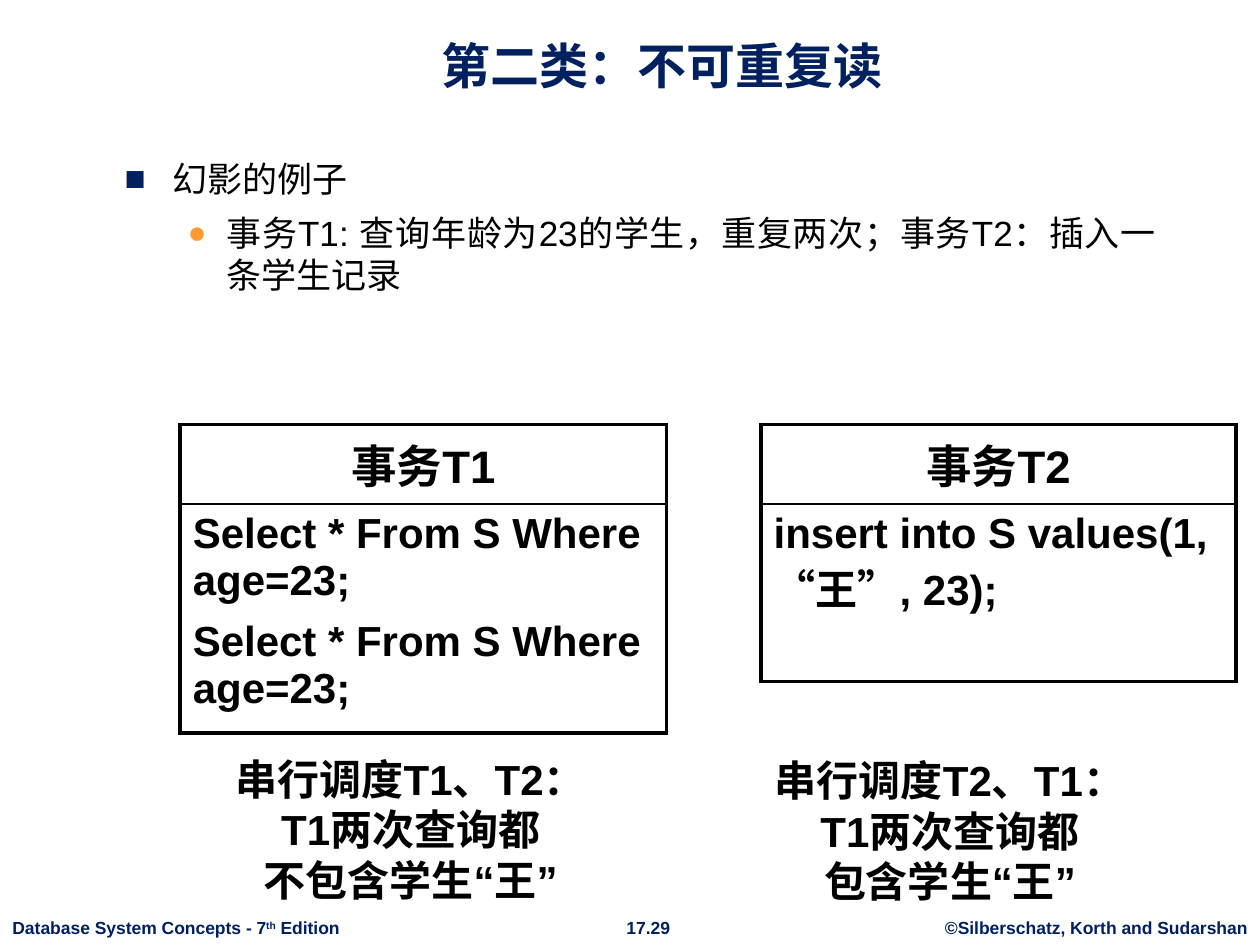
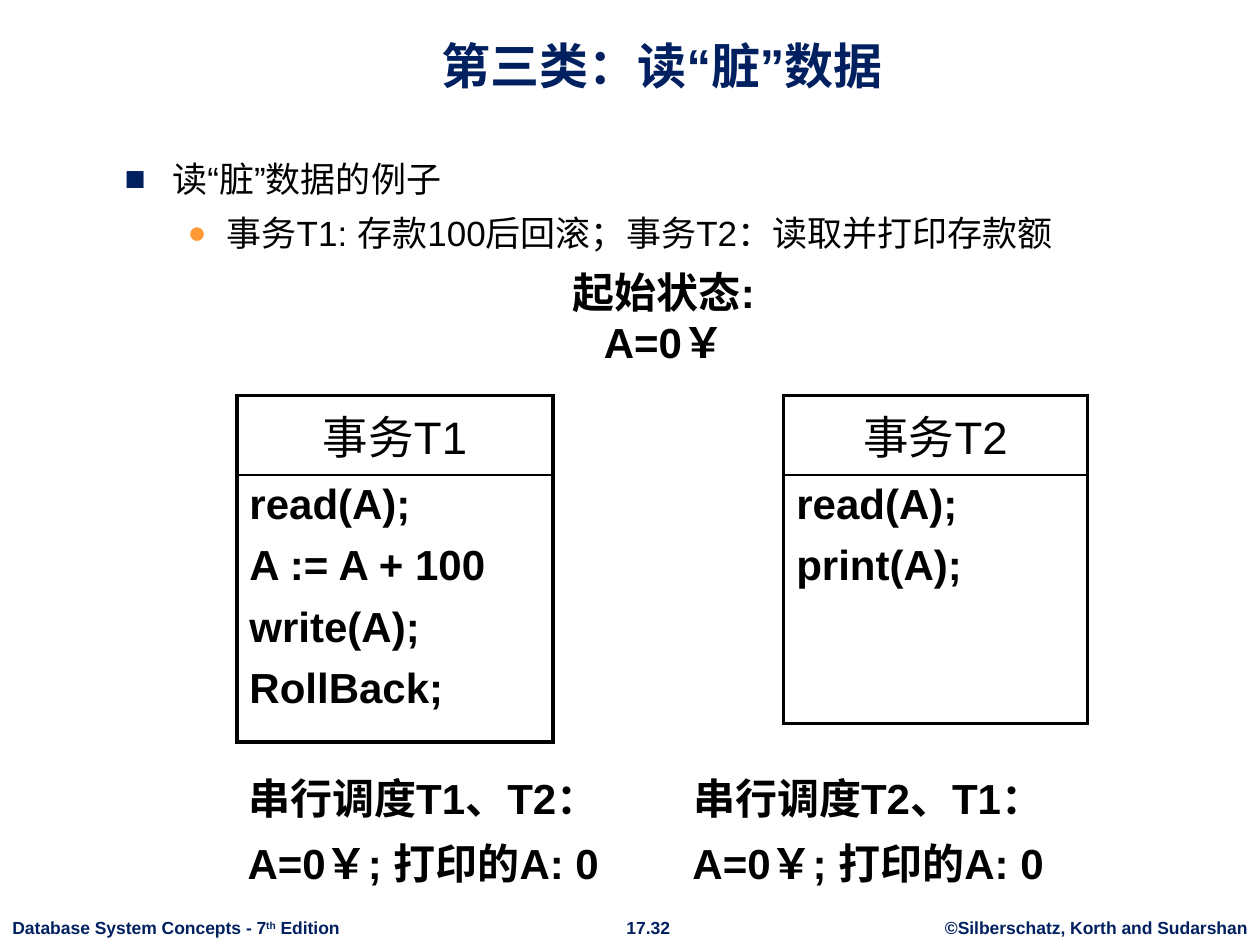
from dataclasses import dataclass

from lxml import etree
from pptx import Presentation
from pptx.dml.color import RGBColor
from pptx.enum.shapes import MSO_SHAPE
from pptx.enum.text import MSO_ANCHOR, PP_ALIGN
from pptx.oxml.ns import qn
from pptx.util import Inches, Pt

LEFT, CENTER, JUSTIFY = PP_ALIGN.LEFT, PP_ALIGN.CENTER, PP_ALIGN.JUSTIFY
TOP, MIDDLE, BOTTOM = MSO_ANCHOR.TOP, MSO_ANCHOR.MIDDLE, MSO_ANCHOR.BOTTOM
CALLOUT = MSO_SHAPE.ROUNDED_RECTANGULAR_CALLOUT
TITLE_ONLY = 5


@dataclass(frozen=True)
class Theme:
    font: str = "Arial"
    navy: str = "002060"
    orange: str = "FF9933"
    black: str = "000000"
    white: str = "FFFFFF"
    title: int = 28
    heading: int = 26
    code: int = 24
    body: int = 20
    footer: int = 10
    outer_line: float = 2.25
    inner_line: float = 1
    paragraph_gap: float = 0.35  # share of the type size


THEME = Theme()

SLIDES = [
    {
        "title": "第二类：不可重复读",
        "number": "17.29",
        "bullets": ["幻影的例子",
                    "事务T1: 查询年龄为23的学生，重复两次；事务T2：插入一条学生记录"],
        "bold_headings": True,
        "transactions": [
            {"heading": "事务T2", "code": ["insert into S values(1, “王”, 23);"],
             "left": 6.04, "top": 3.37, "width": 3.77, "code_height": 1.41},
            {"heading": "事务T1", "code": ["Select * From S Where age=23;"] * 2,
             "left": 1.43, "top": 3.37, "width": 3.86, "code_height": 1.77},
        ],
        "callouts": [
            {"lines": ["串行调度T1、T2：\vT1两次查询都\v不包含学生“王”"],
             "box": (1.76, 5.89, 3, 1.38), "tip": (0.03, 0.14)},
            {"lines": ["串行调度T2、T1：\vT1两次查询都\v包含学生“王”"],
             "box": (6.04, 5.9, 3, 1.38), "tip": (0.03, 0.14)},
        ],
    },
    {
        "title": "第三类：读“脏”数据",
        "number": "17.32",
        "bullets": ["读“脏”数据的例子",
                    "事务T1: 存款100后回滚；事务T2：读取并打印存款额"],
        "bold_headings": False,
        "transactions": [
            {"heading": "事务T2", "code": ["read(A);", "print(A);"],
             "left": 6.22, "top": 3.14, "width": 2.41, "code_height": 1.97},
            {"heading": "事务T1",
             "code": ["read(A);", "A := A + 100", "write(A);", "RollBack;"],
             "left": 1.88, "top": 3.14, "width": 2.51, "code_height": 2.12},
        ],
        "callouts": [
            {"lines": ["起始状态:", "A=0￥"], "gap": 0,
             "box": (4.29, 2.01, 1.96, 1.01), "tip": (0.11, -0.44)},
            {"lines": ["串行调度T1、T2：", "A=0￥; 打印的A: 0"],
             "box": (1.86, 6, 3, 1.18), "tip": (0.03, -0.1)},
            {"lines": ["串行调度T2、T1：", "A=0￥; 打印的A: 0"],
             "box": (5.39, 6, 3, 1.18), "tip": (-0.14, -0.05)},
        ],
    },
]

BOOK = ["Database System Concepts - 7", "th", " Edition"]
AUTHORS = "©Silberschatz, Korth and Sudarshan"
HEADING_HEIGHT = 0.63
TITLE_BOX = (0.84, 0.13, 8.83, 0.67)
BODY_BOX = (0.89, 1.2, 8.38, 5.36)
BULLET_STYLES = [  # symbol, colour, size in percent, margin, hanging indent
    ("■", THEME.navy, 100, 0.38, 0.38),
    ("●", THEME.orange, 90, 0.81, 0.31),
]


def style_run(run, size, color, bold, east_asian):
    run.font.size = Pt(size)
    run.font.bold = bold
    run.font.color.rgb = RGBColor.from_string(color)
    run.font.name = THEME.font
    if east_asian:
        properties = run._r.get_or_add_rPr()
        etree.SubElement(properties, qn("a:ea"), typeface=THEME.font)


def write(frame, lines, *, size, color=THEME.black, bold=False, align=LEFT,
          gap=THEME.paragraph_gap, east_asian=True):
    """Fill a text frame, one paragraph a line; a line may be a list of runs."""
    for index, line in enumerate(lines):
        paragraph = frame.paragraphs[0] if index == 0 else frame.add_paragraph()
        paragraph.alignment = align
        paragraph.space_before = Pt(round(size * gap, 1) if index else 0)
        for part in [line] if isinstance(line, str) else line:
            for position, text in enumerate(part.split("\v")):
                if position:
                    paragraph.add_line_break()
                run = paragraph.add_run()
                run.text = text
                style_run(run, size, color, bold, east_asian)


def add_text_box(slide, box, lines, *, wrap=False, **text_format):
    frame = slide.shapes.add_textbox(*map(Inches, box)).text_frame
    frame.word_wrap = wrap
    write(frame, lines, **text_format)
    return frame


def add_title(slide, text):
    title = slide.shapes.title
    title.left, title.top, title.width, title.height = map(Inches, TITLE_BOX)
    title.text_frame.vertical_anchor = BOTTOM
    write(title.text_frame, [text], size=THEME.title, color=THEME.navy,
          bold=True, align=CENTER)


def add_footer(slide, number):
    footer = {"size": THEME.footer, "color": THEME.navy, "bold": True}
    add_text_box(slide, (7.4, 7.23, 2.6, 0.27), [AUTHORS], align=CENTER, **footer)
    add_text_box(slide, (4.86, 7.23, 0.57, 0.27), [number], align=CENTER, **footer)
    book = add_text_box(slide, (0, 7.23, 2.81, 0.27), [BOOK], **footer)
    ordinal = book.paragraphs[0].runs[1]
    ordinal._r.get_or_add_rPr().set("baseline", "30000")


def add_bullets(slide, lines):
    frame = add_text_box(slide, BODY_BOX, lines, wrap=True, size=THEME.body,
                         align=JUSTIFY)
    for level, (paragraph, style) in enumerate(zip(frame.paragraphs, BULLET_STYLES)):
        symbol, color, percent, margin, hanging = style
        paragraph.level = level
        properties = paragraph._p.get_or_add_pPr()
        properties.set("marL", str(Inches(margin)))
        properties.set("indent", str(-Inches(hanging)))
        bullet_color = etree.SubElement(properties, qn("a:buClr"))
        etree.SubElement(bullet_color, qn("a:srgbClr"), val=color)
        etree.SubElement(properties, qn("a:buSzPct"), val=str(percent * 1000))
        etree.SubElement(properties, qn("a:buFont"), typeface=THEME.font)
        etree.SubElement(properties, qn("a:buChar"), char=symbol)


def set_borders(cell, **widths):
    """Draw black cell borders; widths are points keyed by side (L, R, T, B)."""
    properties = cell._tc.get_or_add_tcPr()
    for position, side in enumerate("LRTB"):
        line = etree.Element(qn(f"a:ln{side}"), w=str(Pt(widths[side])))
        fill = etree.SubElement(line, qn("a:solidFill"))
        etree.SubElement(fill, qn("a:srgbClr"), val=THEME.black)
        properties.insert(position, line)


def add_transaction(slide, transaction, bold_heading):
    heights = HEADING_HEIGHT, transaction["code_height"]
    box = (transaction["left"], transaction["top"], transaction["width"], sum(heights))
    table = slide.shapes.add_table(2, 1, *map(Inches, box)).table
    table.first_row = table.horz_banding = False
    for row, height in zip(table.rows, heights):
        row.height = Inches(height)
    heading, code = table.cell(0, 0), table.cell(1, 0)
    outer, inner = THEME.outer_line, THEME.inner_line
    for cell, top, bottom in ((heading, outer, inner), (code, inner, outer)):
        cell.fill.background()
        cell.vertical_anchor = TOP
        set_borders(cell, L=outer, R=outer, T=top, B=bottom)
    write(heading.text_frame, [transaction["heading"]], size=THEME.heading,
          bold=bold_heading, align=CENTER, east_asian=False)
    write(code.text_frame, transaction["code"], size=THEME.code, bold=True,
          east_asian=False)


def add_callout(slide, callout):
    shape = slide.shapes.add_shape(CALLOUT, *map(Inches, callout["box"]))
    shape.shadow.inherit = False
    shape.adjustments[0], shape.adjustments[1] = callout["tip"]
    shape.fill.solid()
    shape.fill.fore_color.rgb = RGBColor.from_string(THEME.white)
    shape.line.fill.background()
    frame = shape.text_frame
    frame.word_wrap = False
    frame.vertical_anchor = MIDDLE
    write(frame, callout["lines"], size=THEME.code, bold=True, align=CENTER,
          gap=callout.get("gap", THEME.paragraph_gap))


def build_slide(presentation, content):
    slide = presentation.slides.add_slide(presentation.slide_layouts[TITLE_ONLY])
    add_footer(slide, content["number"])
    add_title(slide, content["title"])
    add_bullets(slide, content["bullets"])
    for transaction in content["transactions"]:
        add_transaction(slide, transaction, content["bold_headings"])
    for callout in content["callouts"]:
        add_callout(slide, callout)


def main():
    presentation = Presentation()
    presentation.slide_width, presentation.slide_height = Inches(10), Inches(7.5)
    for content in SLIDES:
        build_slide(presentation, content)
    presentation.save("out.pptx")


if __name__ == "__main__":
    main()
